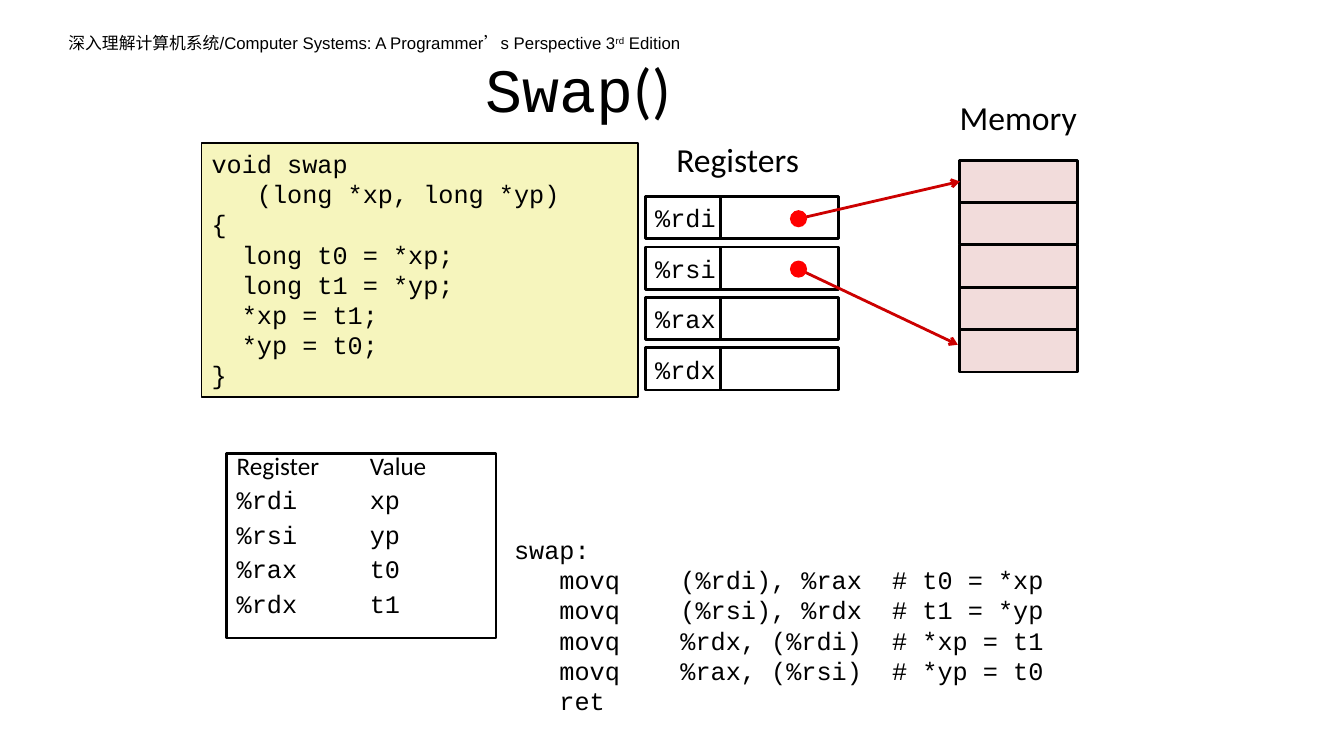
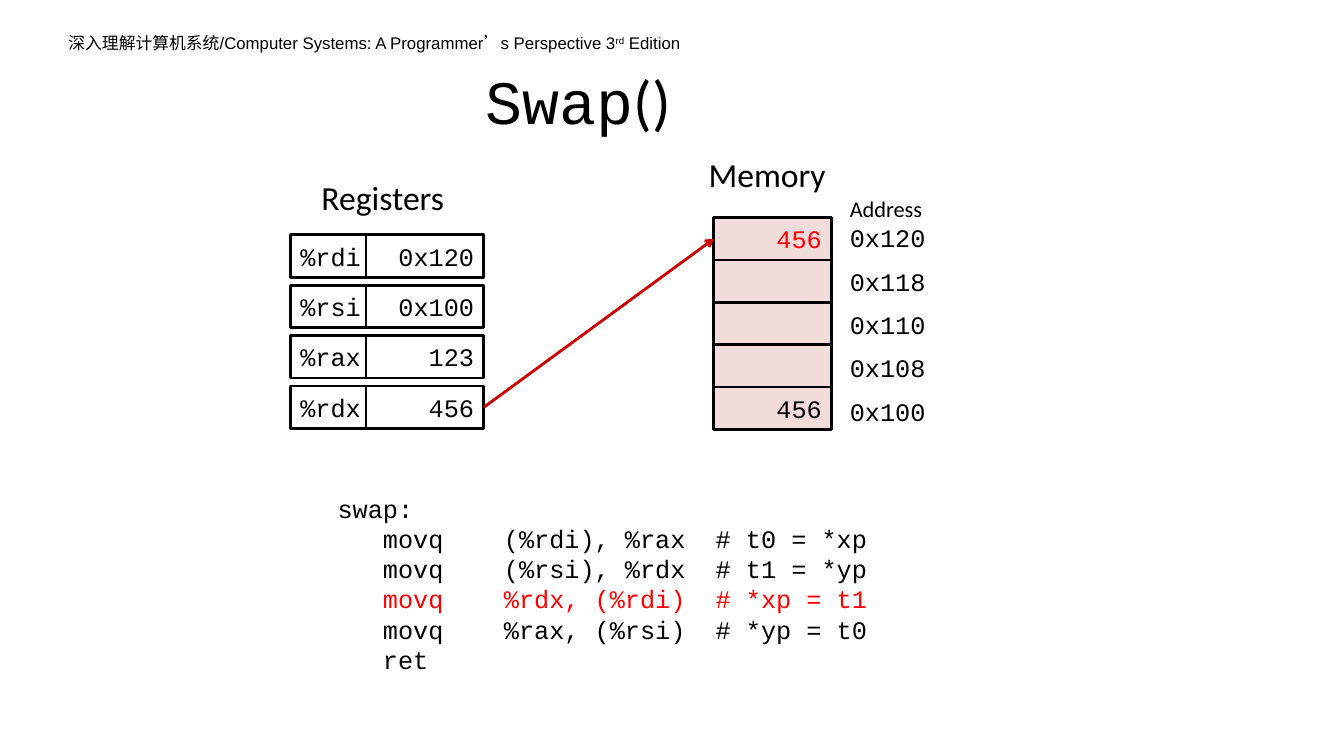
import dataclasses

import lxml.etree
import pptx
import pptx.dml.color
import pptx.enum.shapes
import pptx.enum.text
import pptx.oxml.ns
import pptx.util

Inches = pptx.util.Inches
Pt = pptx.util.Pt
RGBColor = pptx.dml.color.RGBColor
Shape = pptx.enum.shapes.MSO_SHAPE
Align = pptx.enum.text.PP_ALIGN
Anchor = pptx.enum.text.MSO_ANCHOR
AutoSize = pptx.enum.text.MSO_AUTO_SIZE
qn = pptx.oxml.ns.qn


@dataclasses.dataclass(frozen=True)
class Theme:
    black: RGBColor = RGBColor(0x00, 0x00, 0x00)
    white: RGBColor = RGBColor(0xFF, 0xFF, 0xFF)
    red: RGBColor = RGBColor(0xFF, 0x00, 0x00)
    arrow: RGBColor = RGBColor(0xCC, 0x00, 0x00)
    memory: RGBColor = RGBColor(0xF2, 0xDC, 0xDB)
    code: RGBColor = RGBColor(0xF6, 0xF5, 0xBD)
    body_font: str = "Calibri"
    code_font: str = "Courier New"
    header_font: str = "Arial"
    title_size: int = 44
    label_size: int = 24
    code_size: int = 18
    address_size: int = 16
    header_size: int = 12


theme = Theme()


def style_runs(paragraph, font, size, color=theme.black):
    for run in paragraph.runs:
        run.font.name = font
        run.font.size = Pt(size)
        run.font.color.rgb = color


def add_box(slide, bounds, text, font=theme.code_font, size=theme.code_size, color=theme.black,
            fill=None, border=0, align=Align.LEFT, anchor=Anchor.TOP, wrap=True):
    bounds = [Inches(length) for length in bounds]
    if border:
        shape = slide.shapes.add_shape(Shape.RECTANGLE, *bounds)
        shape.shadow.inherit = False
        shape.line.color.rgb = theme.black
        shape.line.width = Pt(border)
        if fill is None:
            shape.fill.background()
        else:
            shape.fill.solid()
            shape.fill.fore_color.rgb = fill
    else:
        shape = slide.shapes.add_textbox(*bounds)
    shape.text_frame.text = text
    shape.text_frame.word_wrap = wrap
    shape.text_frame.vertical_anchor = anchor
    for paragraph in shape.text_frame.paragraphs:
        paragraph.alignment = align
        style_runs(paragraph, font, size, color)
    return shape


CELL_WIDTH, CELL_HEIGHT = 1.17, 0.42
NAME_WIDTH, REGISTER_PITCH = 0.75, 0.5
ADDRESS_PITCH, DOT_SIZE = 0.43, 0.17
REGISTERS = ["%rdi", "%rsi", "%rax", "%rdx"]
ADDRESSES = ["0x120", "0x118", "0x110", "0x108", "0x100"]

SWAP_C = """void swap
   (long *xp, long *yp)
{
  long t0 = *xp;
  long t1 = *yp;
  *xp = t1;
  *yp = t0;
}"""

SWAP_ASSEMBLY = """swap:
   movq    (%rdi), %rax  # t0 = *xp
   movq    (%rsi), %rdx  # t1 = *yp
   movq    %rdx, (%rdi)  # *xp = t1
   movq    %rax, (%rsi)  # *yp = t0
   ret"""

REGISTER_ROLES = "Register\tValue\n%rdi\txp\n%rsi\typ\n%rax\tt0\n%rdx\tt1"

scenes = [
    dict(title_top=0.56, registers=(6.4, 1.95), register_values=[""] * 4,
         memory=(9.52, 1.59), memory_values=[""] * 5, memory_label_left=9.42,
         arrows=[(7.92, 2.17, 9.52, 1.8), (7.92, 2.67, 9.5, 3.42)],
         assembly=(5, 5.25), active_line=None),
    dict(title_top=0.68, registers=(2.88, 2.33), register_values=["0x120", "0x100", "123", "456"],
         memory=(7.08, 2.16), memory_values=["456", "", "", "", "456"], memory_label_left=6.93,
         arrows=[(4.8, 4.04, 7.08, 2.37)],
         assembly=(3.25, 4.84), active_line=3),
]

presentation = pptx.Presentation()
presentation.slide_width = Inches(13.33)
presentation.slide_height = Inches(7.5)
slides = []

for scene in scenes:
    slide = presentation.slides.add_slide(presentation.slide_layouts[5])
    slides.append(slide)

    header = add_box(slide, (0.58, 0.28, 6.28, 0.3), "")
    header.text_frame.auto_size = AutoSize.SHAPE_TO_FIT_TEXT
    paragraph = header.text_frame.paragraphs[0]
    for text in ["深入理解计算机系统/Computer Systems: A Programmer’s Perspective 3", "rd", " Edition"]:
        paragraph.add_run().text = text
    style_runs(paragraph, theme.header_font, theme.header_size)
    paragraph.runs[1]._r.get_or_add_rPr().set("baseline", "30000")

    title = slide.shapes.title
    title.left, title.top = Inches(2.25), Inches(scene["title_top"])
    title.width, title.height = Inches(6.97), Inches(0.63)
    title.text_frame.vertical_anchor = Anchor.MIDDLE
    paragraph = title.text_frame.paragraphs[0]
    paragraph.alignment = Align.CENTER
    for text in ["Swap", "()"]:
        paragraph.add_run().text = text
    style_runs(paragraph, theme.code_font, theme.title_size)
    paragraph.runs[1].font.name = theme.body_font

    left, top = scene["registers"]
    add_box(slide, (left + 0.21, top - 0.62, 1.48, 0.5), "Registers",
            theme.body_font, theme.label_size, wrap=False)
    for row, (name, value) in enumerate(zip(REGISTERS, scene["register_values"])):
        row_top = top + row * REGISTER_PITCH
        add_box(slide, (left, row_top, NAME_WIDTH, CELL_HEIGHT), name,
                fill=theme.white, border=2, anchor=Anchor.MIDDLE, wrap=False)
        add_box(slide, (left + NAME_WIDTH, row_top, CELL_WIDTH, CELL_HEIGHT), value,
                fill=theme.white, border=2, align=Align.RIGHT, anchor=Anchor.MIDDLE, wrap=False)

    left, top = scene["memory"]
    add_box(slide, (scene["memory_label_left"], top - 0.68, 1.4, 0.5), "Memory",
            theme.body_font, theme.label_size, wrap=False)
    for row, value in enumerate(scene["memory_values"]):
        add_box(slide, (left, top + row * CELL_HEIGHT, CELL_WIDTH, CELL_HEIGHT), value,
                color=theme.black if row else theme.red, fill=theme.memory, border=2,
                align=Align.RIGHT, anchor=Anchor.MIDDLE, wrap=False)

    for ends in scene["arrows"]:
        arrow = slide.shapes.add_connector(pptx.enum.shapes.MSO_CONNECTOR.STRAIGHT,
                                           *[Inches(length) for length in ends])
        arrow.line.color.rgb = theme.arrow
        arrow.line.width = Pt(2)
        properties = arrow._element.spPr
        lxml.etree.SubElement(properties.find(qn("a:ln")), qn("a:tailEnd"), type="arrow")
        lxml.etree.SubElement(properties, qn("a:effectLst"))

    assembly = add_box(slide, (*scene["assembly"], 6.42, 1.92), SWAP_ASSEMBLY)
    if scene["active_line"] is not None:
        active = assembly.text_frame.paragraphs[scene["active_line"]]
        style_runs(active, theme.code_font, theme.code_size, theme.red)

overview, update = slides

for x, y, *tip in scenes[0]["arrows"]:
    dot = overview.shapes.add_shape(Shape.OVAL, Inches(x - DOT_SIZE / 2), Inches(y - DOT_SIZE / 2),
                                    Inches(DOT_SIZE), Inches(DOT_SIZE))
    dot.shadow.inherit = False
    dot.fill.solid()
    dot.fill.fore_color.rgb = theme.red
    dot.line.fill.background()

add_box(overview, (2, 1.42, 4.33, 2.52), SWAP_C, fill=theme.code, border=1)

roles = add_box(overview, (2.25, 4.5, 2.67, 1.83), REGISTER_ROLES, border=2)
for row, paragraph in enumerate(roles.text_frame.paragraphs):
    tabs = lxml.etree.SubElement(paragraph._p.get_or_add_pPr(), qn("a:tabLst"))
    lxml.etree.SubElement(tabs, qn("a:tab"), pos=str(Inches(1.32)), algn="l")
    paragraph.line_spacing = 0.7
    if row:
        paragraph.space_before = Pt(9.5)
style_runs(roles.text_frame.paragraphs[0], theme.body_font, theme.code_size)

add_box(update, (8.33, 1.89, 1.33, 0.37), "Address", theme.body_font, theme.address_size)
for row, address in enumerate(ADDRESSES):
    add_box(update, (8.33, 2.16 + row * ADDRESS_PITCH, 1.33, 0.4), address)

presentation.save("out.pptx")
